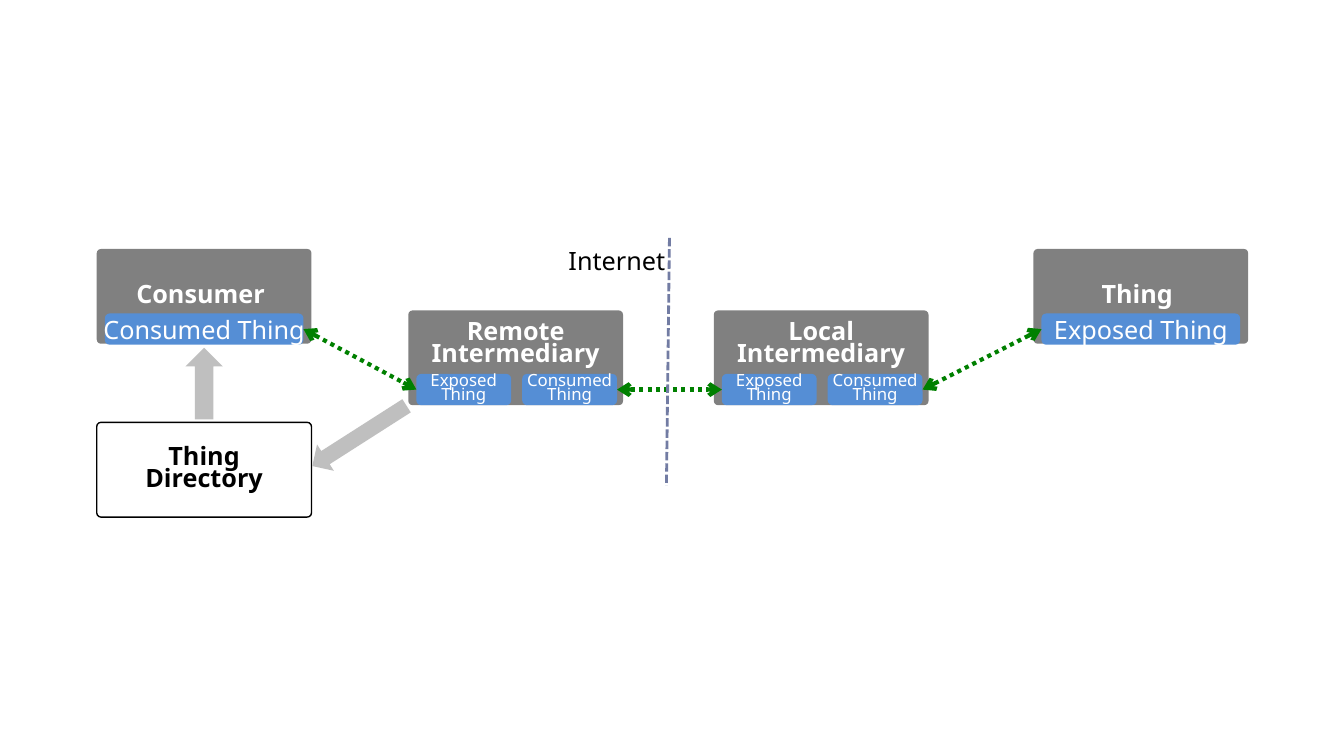
from lxml import etree
from pptx import Presentation
from pptx.dml.color import RGBColor
from pptx.enum.dml import MSO_LINE
from pptx.enum.shapes import MSO_CONNECTOR, MSO_SHAPE
from pptx.enum.text import MSO_ANCHOR, PP_ALIGN
from pptx.oxml.ns import qn
from pptx.util import Inches, Pt

ROUND_RECT, DOWN_ARROW = MSO_SHAPE.ROUNDED_RECTANGLE, MSO_SHAPE.DOWN_ARROW
STRAIGHT = MSO_CONNECTOR.STRAIGHT
DOTS, DASHES = MSO_LINE.ROUND_DOT, MSO_LINE.SQUARE_DOT
CENTER, LEFT = PP_ALIGN.CENTER, PP_ALIGN.LEFT
MIDDLE = MSO_ANCHOR.MIDDLE

FONT = "Noto Sans"
WHITE, BLACK, GRAY, SILVER = "FFFFFF", "000000", "808080", "BFBFBF"
BLUE, GREEN, SLATE = "558ED5", "008000", "727CA3"

NODE_W, NODE_H = 2.13, 0.94
CHIP_H, CHIP_DROP = 0.31, 0.63
WIDE_CHIP, NARROW_CHIP = 1.97, 0.94
CHIP_INSET, CHIP_STEP = 0.08, 1.05
TOP_ROW, MIDDLE_ROW, BOTTOM_ROW = 2.47, 3.08, 4.19
LEFT_COL, REMOTE_COL, LOCAL_COL, RIGHT_COL = 0.96, 4.05, 7.08, 10.25


def rgb(value):
    """Turn a hex string into a colour."""
    return RGBColor.from_string(value)


def write(tf, text, size=18, color=WHITE, bold=False, align=CENTER, spacing=None):
    """Write one paragraph per line of text."""
    tf.word_wrap = False
    for i, line in enumerate(text.split("\n")):
        p = tf.add_paragraph() if i else tf.paragraphs[0]
        p.alignment = align
        if spacing:
            p.line_spacing = spacing
        r = p.add_run()
        r.text = line
        r.font.name, r.font.size, r.font.bold = FONT, Pt(size), bold
        r.font.color.rgb = rgb(color)


def add_shape(slide, kind, x, y, w, h, fill, line=None):
    """Add a flat preset shape, outlined only if a line colour is given."""
    sp = slide.shapes.add_shape(kind, Inches(x), Inches(y), Inches(w), Inches(h))
    sp.shadow.inherit = False
    sp.fill.solid()
    sp.fill.fore_color.rgb = rgb(fill)
    if line:
        sp.line.color.rgb = rgb(line)
        sp.line.width = Pt(1)
    else:
        sp.line.fill.background()
    return sp


def add_node(slide, x, y, text, fill=GRAY, color=WHITE, line=None, right=0, bottom=0):
    """Add a large box with a bold name; insets shift the name."""
    sp = add_shape(slide, ROUND_RECT, x, y, NODE_W, NODE_H, fill, line)
    sp.adjustments[0] = 0.045
    tf = sp.text_frame
    tf.margin_left = tf.margin_top = 0
    tf.margin_right, tf.margin_bottom = Inches(right), Inches(bottom)
    tf.vertical_anchor = MIDDLE
    write(tf, text, color=color, bold=True, spacing=0.75)


def add_chip(slide, x, y, w, text, **fmt):
    """Add a blue interface label; return its left and right link points."""
    sp = add_shape(slide, ROUND_RECT, x, y, w, CHIP_H, BLUE)
    sp.adjustments[0] = 0.15
    sp.text_frame.vertical_anchor = MIDDLE
    write(sp.text_frame, text, **fmt)
    mid = y + CHIP_H / 2
    return (x, mid), (x + w, mid)


def add_endpoint(slide, x, name, role):
    """Add an outer node with one wide chip; return the chip's link points."""
    add_node(slide, x, TOP_ROW, name, right=0.07)
    return add_chip(slide, x + CHIP_INSET, TOP_ROW + CHIP_DROP + 0.01, WIDE_CHIP, role)


def add_intermediary(slide, x, name):
    """Add an intermediary with two chips; return its outer link points."""
    add_node(slide, x, MIDDLE_ROW, name + "\nIntermediary", bottom=0.26)
    chips = [add_chip(slide, x + CHIP_INSET + i * CHIP_STEP, MIDDLE_ROW + CHIP_DROP,
                      NARROW_CHIP, role + "\nThing", size=12, spacing=0.7)
             for i, role in enumerate(("Exposed", "Consumed"))]
    return chips[0][0], chips[1][1]


def add_line(slide, start, end, color, width, dash, arrows=False):
    """Add a straight line, with an arrowhead at both ends if asked."""
    points = [Inches(v) for v in (*start, *end)]
    cx = slide.shapes.add_connector(STRAIGHT, *points)
    cx.line.color.rgb = rgb(color)
    cx.line.width = Pt(width)
    cx.line.dash_style = dash
    props = cx.element.spPr
    if arrows:
        for tag in ("a:headEnd", "a:tailEnd"):
            etree.SubElement(props.find(qn("a:ln")), qn(tag), type="arrow")
    etree.SubElement(props, qn("a:effectLst"))


def add_block_arrow(slide, x, y, w, h, rotation):
    """Add a gray block arrow turned clockwise from pointing down."""
    sp = add_shape(slide, DOWN_ARROW, x, y, w, h, SILVER)
    sp.rotation = rotation


def add_label(slide, x, y, w, h, text):
    """Add a plain text label."""
    sp = slide.shapes.add_textbox(Inches(x), Inches(y), Inches(w), Inches(h))
    write(sp.text_frame, text, color=BLACK, align=LEFT)


def main():
    """Build the slide and save it."""
    prs = Presentation()
    prs.slide_width, prs.slide_height = Inches(13.33), Inches(7.5)
    slide = prs.slides.add_slide(prs.slide_layouts[6])

    _, consumer_out = add_endpoint(slide, LEFT_COL, "Consumer", "Consumed Thing")
    remote_in, remote_out = add_intermediary(slide, REMOTE_COL, "Remote")
    local_in, local_out = add_intermediary(slide, LOCAL_COL, "Local")
    thing_in, _ = add_endpoint(slide, RIGHT_COL, "Thing", "Exposed Thing")

    for start, end in ((consumer_out, remote_in), (remote_out, local_in),
                       (local_out, thing_in)):
        add_line(slide, start, end, GREEN, 3, DOTS, arrows=True)

    add_line(slide, (6.64, 2.36), (6.61, 4.82), SLATE, 2, DASHES)
    add_label(slide, 5.54, 2.38, 1.17, 0.4, "Internet")

    add_node(slide, LEFT_COL, BOTTOM_ROW, "Thing\nDirectory", WHITE, BLACK, BLACK)
    add_block_arrow(slide, 3.41, 3.77, 0.31, 1.11, 57.4)
    add_block_arrow(slide, 1.84, 3.45, 0.37, 0.71, 180)

    prs.save("out.pptx")


main()
